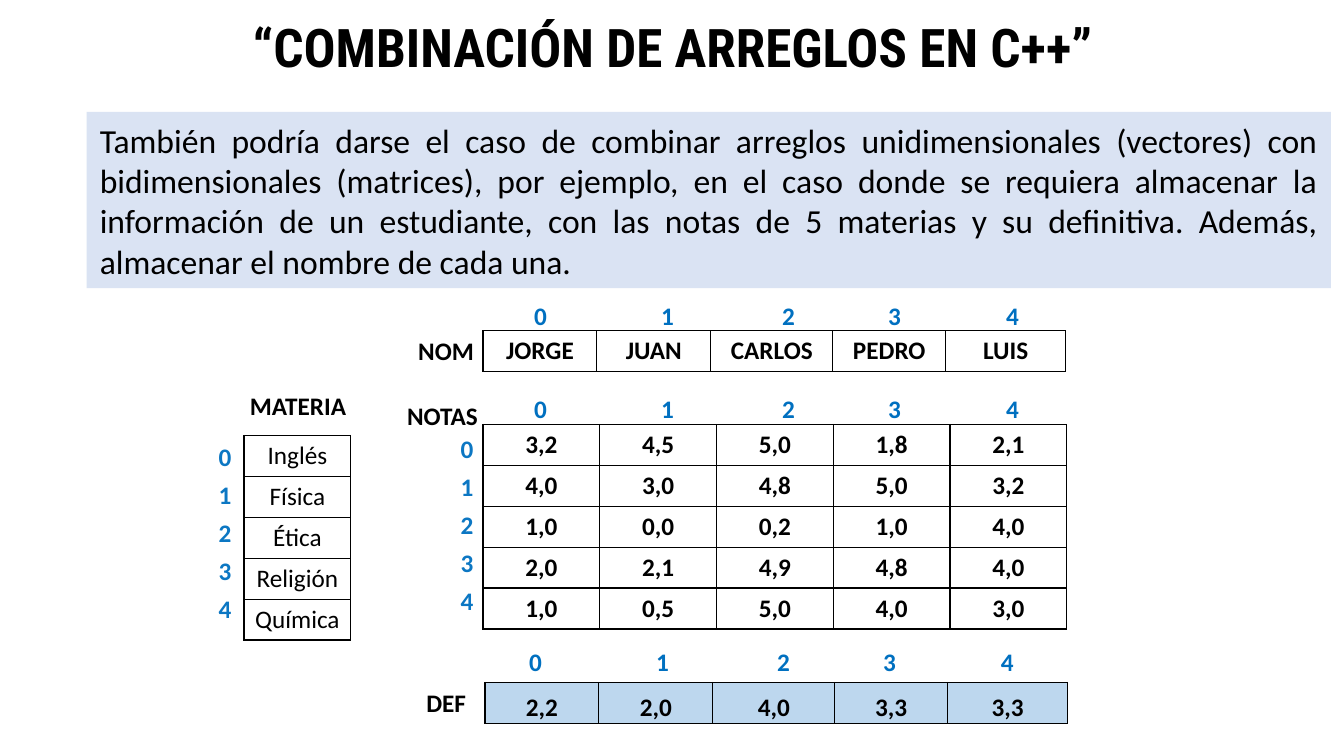
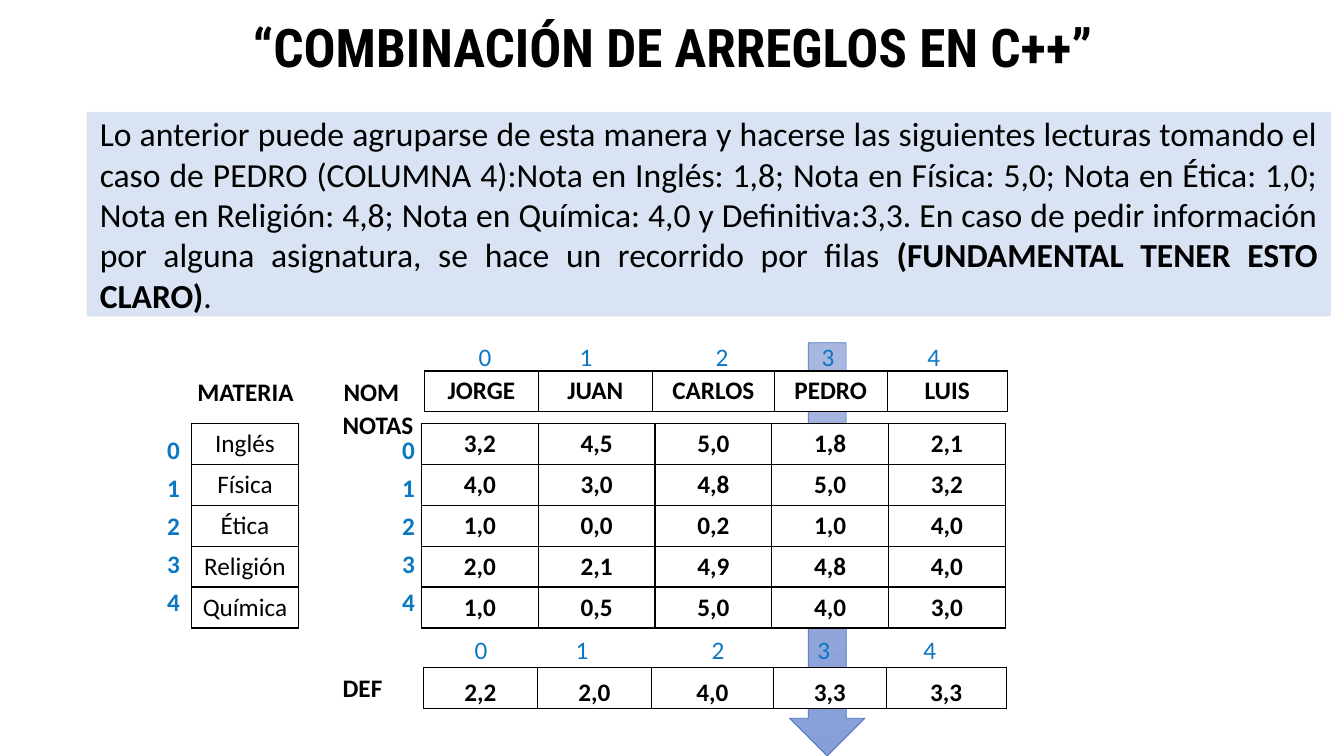
from dataclasses import dataclass

from lxml.etree import SubElement
from pptx import Presentation
from pptx.dml.color import RGBColor
from pptx.enum.shapes import MSO_SHAPE
from pptx.enum.text import MSO_ANCHOR, MSO_AUTO_SIZE, PP_ALIGN
from pptx.oxml.ns import qn
from pptx.util import Pt

EMU_PER_PX = 9144

BLACK = RGBColor(0x00, 0x00, 0x00)
WHITE = RGBColor(0xFF, 0xFF, 0xFF)
BAND_BLUE = RGBColor(0xDA, 0xE3, 0xF3)
RESULT_BLUE = RGBColor(0xBD, 0xD7, 0xEE)
COLUMN_BLUE = RGBColor(0x00, 0x70, 0xC0)
ROW_BLUE = RGBColor(0x0C, 0x77, 0xC3)
ARROW_LINE = RGBColor(0x44, 0x72, 0xC4)
ARROW_TOP = RGBColor(0xA8, 0xB7, 0xDF)
ARROW_BOTTOM = RGBColor(0x88, 0x9E, 0xD7)

BODY_FONT = "Calibri"
TITLE_FONT = "Roboto Condensed"
TITLE = "“COMBINACIÓN DE ARREGLOS EN C++”"

SUBJECTS = [["Inglés"], ["Física"], ["Ética"], ["Religión"], ["Química"]]
STUDENTS = [["JORGE", "JUAN", "CARLOS", "PEDRO", "LUIS"]]
GRADES = [
    ["3,2", "4,5", "5,0", "1,8", "2,1"],
    ["4,0", "3,0", "4,8", "5,0", "3,2"],
    ["1,0", "0,0", "0,2", "1,0", "4,0"],
    ["2,0", "2,1", "4,9", "4,8", "4,0"],
    ["1,0", "0,5", "5,0", "4,0", "3,0"],
]
FINALS = [["2,2", "2,0", "4,0", "3,3", "3,3"]]
INDEXES = ["0", "1", "2", "3", "4"]

STUDENT_WIDTHS = [113, 113, 121, 112, 119]
GRADE_WIDTHS = [579 / 5] * 5
SUBJECT_WIDTHS = [106]
ROW_HEIGHT = 203 / 5
LABEL_WIDTHS = {"NOM": 76, "NOTAS": 93, "MATERIA": 116, "DEF": 60}


@dataclass
class ArrayPlaces:
    """Left and top of every part of the array diagram, in px."""
    students: tuple
    grades: tuple
    subjects: tuple
    finals: tuple
    labels: dict
    row_indexes: list
    column_indexes: list
    column_tabs: list


FIRST_PLACES = ArrayPlaces(
    students=(479, 328), grades=(479, 421), subjects=(242, 432), finals=(481, 677),
    labels={"NOM": (405, 328), "NOTAS": (394, 392), "MATERIA": (238, 382), "DEF": (413, 677)},
    row_indexes=[(447, 425), (207, 433)],
    column_indexes=[(520, 293), (520, 385), (515, 636)],
    column_tabs=[126, 246, 351, 468],
)
SECOND_PLACES = ArrayPlaces(
    students=(421, 368), grades=(418, 420), subjects=(190, 420), finals=(420, 662),
    labels={"NOM": (331, 368), "NOTAS": (330, 401), "MATERIA": (186, 368), "DEF": (330, 662)},
    row_indexes=[(156, 426), (389, 426)],
    column_indexes=[(465, 334), (461, 624)],
    column_tabs=[100, 235, 340, 445],
)


def px(length):
    return round(length * EMU_PER_PX)


def style(font, size, color=BLACK, bold=False, name=BODY_FONT):
    font.name = name
    font.size = Pt(size)
    font.bold = bold
    font.color.rgb = color


def add_plain_shape(slide, kind, left, top, width, height):
    shape = slide.shapes.add_shape(kind, px(left), px(top), px(width), px(height))
    shape.shadow.inherit = False
    return shape


def add_title(slide):
    title = slide.shapes.title
    title.left, title.top, title.width, title.height = px(108), 0, px(1119), px(100)
    frame = title.text_frame
    frame.text = TITLE
    frame.auto_size = MSO_AUTO_SIZE.NONE
    frame.vertical_anchor = MSO_ANCHOR.MIDDLE
    para = frame.paragraphs[0]
    para.alignment = PP_ALIGN.CENTER
    para.line_spacing = 0.9
    style(para.runs[0].font, 38, bold=True, name=TITLE_FONT)


def add_band(slide, height, pieces):
    """Draw the explanation band; pieces are (text, bold) pairs."""
    band = add_plain_shape(slide, MSO_SHAPE.RECTANGLE, 86, 111, 1234, height)
    band.fill.solid()
    band.fill.fore_color.rgb = BAND_BLUE
    band.line.fill.background()
    frame = band.text_frame
    frame.word_wrap = True
    frame.vertical_anchor = MSO_ANCHOR.MIDDLE
    frame.margin_left = frame.margin_right = px(13)
    frame.margin_top = frame.margin_bottom = px(13)
    para = frame.paragraphs[0]
    para.alignment = PP_ALIGN.JUSTIFY
    for text, bold in pieces:
        span = para.add_run()
        span.text = text
        style(span.font, 24, bold=bold)


def add_reading_arrow(slide):
    arrow = add_plain_shape(slide, MSO_SHAPE.DOWN_ARROW, 783, 340, 75, 410)
    arrow.fill.gradient()
    arrow.fill.gradient_angle = 270
    for stop, color in zip(arrow.fill.gradient_stops, (ARROW_TOP, ARROW_BOTTOM)):
        stop.color.rgb = color
    arrow.line.color.rgb = ARROW_LINE
    arrow.line.width = Pt(0.5)


def add_box(slide, place, width, height, wrap=True):
    left, top = place
    box = slide.shapes.add_textbox(px(left), px(top), px(width), px(height))
    box.text_frame.word_wrap = wrap
    return box.text_frame


def add_label(slide, text, place):
    frame = add_box(slide, place, LABEL_WIDTHS[text], 40, wrap=False)
    frame.text = text
    style(frame.paragraphs[0].runs[0].font, 18, bold=True)


def add_row_indexes(slide, place):
    frame = add_box(slide, place, 27, 194)
    frame.text = "\n".join(INDEXES)
    for number, para in enumerate(frame.paragraphs):
        if number:
            para.space_before = Pt(5.5)
        style(para.runs[0].font, 18, ROW_BLUE, bold=True)


def add_column_indexes(slide, place, tabs, color, bold):
    para = add_box(slide, place, 543, 40).paragraphs[0]
    para.text = "\t".join(INDEXES)
    tab_list = SubElement(para._p.get_or_add_pPr(), qn("a:tabLst"))
    for position in tabs:
        SubElement(tab_list, qn("a:tab"), pos=str(px(position)), algn="l")
    for span in para.runs:
        style(span.font, 18, color, bold)


def add_borders(cell):
    properties = cell._tc.get_or_add_tcPr()
    for side in ("a:lnL", "a:lnR", "a:lnT", "a:lnB"):
        line = SubElement(properties, qn(side), w=str(Pt(1)))
        fill = SubElement(line, qn("a:solidFill"))
        SubElement(fill, qn("a:srgbClr"), val=str(BLACK))


def add_array(slide, place, widths, rows, bold=True, fill=WHITE, at_bottom=False):
    """Draw an array as a bordered table; at_bottom sets its text low in tight cells."""
    left, top = place
    table = slide.shapes.add_table(
        len(rows), len(widths), px(left), px(top),
        px(sum(widths)), px(ROW_HEIGHT * len(rows))).table
    table.first_row = table.horz_banding = False
    for column, width in zip(table.columns, widths):
        column.width = px(width)
    for row, values in zip(table.rows, rows):
        row.height = px(ROW_HEIGHT)
        for cell, value in zip(row.cells, values):
            add_borders(cell)
            cell.fill.solid()
            cell.fill.fore_color.rgb = fill
            if at_bottom:
                cell.vertical_anchor = MSO_ANCHOR.BOTTOM
                cell.margin_left = cell.margin_right = cell.margin_top = px(1)
                cell.margin_bottom = 0
            cell.text = value
            para = cell.text_frame.paragraphs[0]
            para.alignment = PP_ALIGN.CENTER
            style(para.runs[0].font, 18, bold=bold)


def add_arrays(slide, places, finals_fill, index_color, index_bold):
    add_array(slide, places.students, STUDENT_WIDTHS, STUDENTS)
    add_array(slide, places.grades, GRADE_WIDTHS, GRADES)
    add_array(slide, places.subjects, SUBJECT_WIDTHS, SUBJECTS, bold=False)
    add_array(slide, places.finals, STUDENT_WIDTHS, FINALS, fill=finals_fill, at_bottom=True)
    for text, place in places.labels.items():
        add_label(slide, text, place)
    for place in places.row_indexes:
        add_row_indexes(slide, place)
    for place in places.column_indexes:
        add_column_indexes(slide, place, places.column_tabs, index_color, index_bold)


def add_lesson_slide(deck, band_height, pieces):
    slide = deck.slides.add_slide(deck.slide_layouts[5])
    add_title(slide)
    add_band(slide, band_height, pieces)
    return slide


def main():
    deck = Presentation()
    deck.slide_width, deck.slide_height = px(1333), px(750)

    slide = add_lesson_slide(deck, 175, [
        ("También podría darse el caso de combinar arreglos unidimensionales (vectores) con "
         "bidimensionales (matrices), por ejemplo, en el caso donde se requiera almacenar la "
         "información de un estudiante, con las notas de 5 materias y su definitiva. Además, "
         "almacenar el nombre de cada una.", False),
    ])
    add_arrays(slide, FIRST_PLACES, RESULT_BLUE, COLUMN_BLUE, index_bold=True)

    slide = add_lesson_slide(deck, 203, [
        ("Lo anterior puede agruparse de esta manera y hacerse las siguientes lecturas tomando "
         "el caso de PEDRO (COLUMNA 4):Nota en Inglés: 1,8; Nota en Física: 5,0; Nota en "
         "Ética: 1,0; Nota en Religión: 4,8; Nota en Química: 4,0 y Definitiva:3,3. En caso de "
         "pedir información por alguna asignatura, se hace un recorrido por filas ", False),
        ("(FUNDAMENTAL TENER ESTO CLARO)", True),
        (".", False),
    ])
    add_reading_arrow(slide)
    add_arrays(slide, SECOND_PLACES, WHITE, ROW_BLUE, index_bold=False)

    deck.save("out.pptx")


if __name__ == "__main__":
    main()
